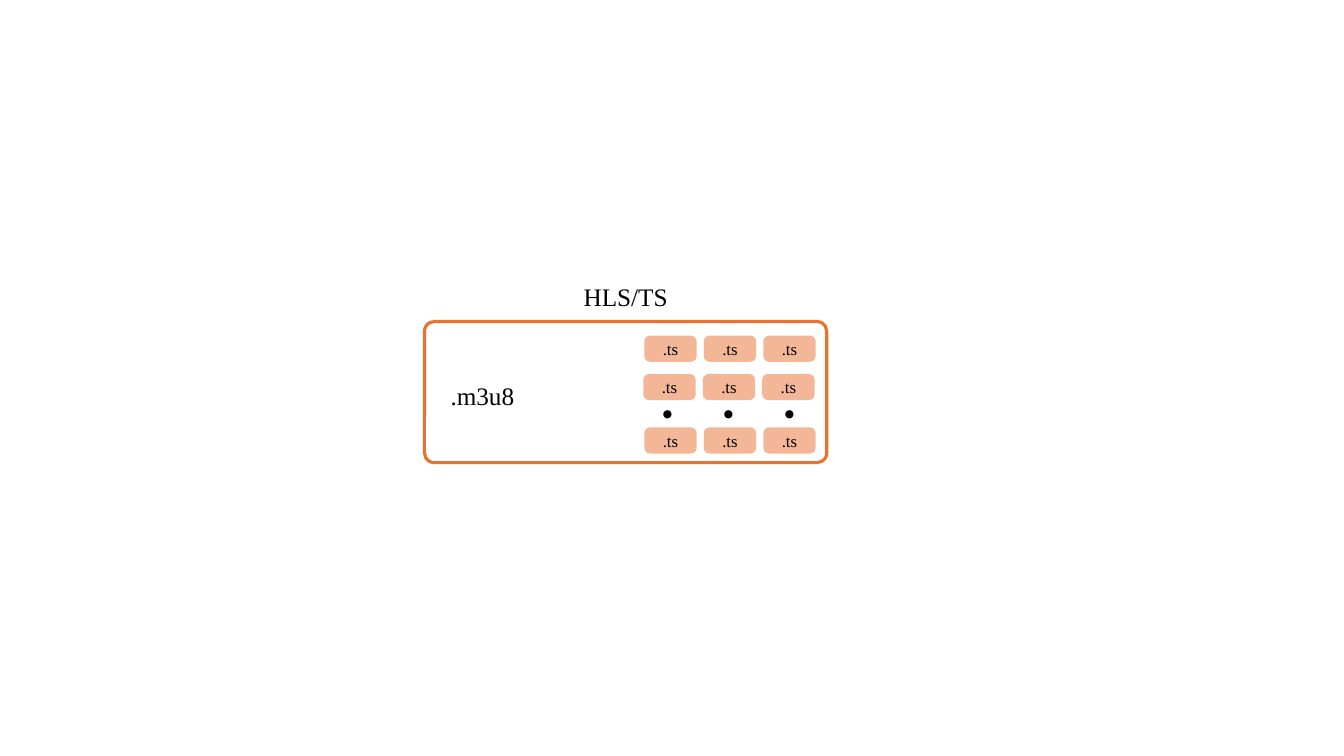
from pptx import Presentation
from pptx.dml.color import RGBColor
from pptx.enum.shapes import MSO_SHAPE as Shape
from pptx.enum.text import MSO_ANCHOR as Anchor, MSO_AUTO_SIZE as AutoSize, PP_ALIGN as Align
from pptx.oxml.ns import qn
from pptx.util import Inches, Pt
from lxml import etree

ORANGE = RGBColor(0xE9, 0x71, 0x32)
WHITE = RGBColor(0xFF, 0xFF, 0xFF)
BLACK = RGBColor(0, 0, 0)


def write(box, text, size, align):
    para = box.text_frame.paragraphs[0]
    para.text = text
    para.alignment = align
    para.font.name = "Times New Roman"
    para.font.size = Pt(size)
    para.font.color.rgb = BLACK
    return para


def add_rounded(left, top, width, height, radius, color):
    box = page.shapes.add_shape(
        Shape.ROUNDED_RECTANGLE, Inches(left), Inches(top), Inches(width), Inches(height))
    box.adjustments[0] = radius
    box.shadow.inherit = False
    box.fill.solid()
    box.fill.fore_color.rgb = color
    return box


deck = Presentation()
deck.slide_width, deck.slide_height = Inches(13.33), Inches(7.5)
page = deck.slides.add_slide(deck.slide_layouts[6])

container = add_rounded(4.21, 3.19, 3.99, 1.4, 0.07, WHITE)
container.line.color.rgb = ORANGE
container.line.width = Pt(2.25)

for text, left, top, width in [("HLS/TS", 5.69, 2.74, 1.04), (".m3u8", 4.37, 3.72, 0.86)]:
    label = page.shapes.add_textbox(Inches(left), Inches(top), Inches(width), Inches(0.4))
    label.text_frame.word_wrap = False
    label.text_frame.auto_size = AutoSize.SHAPE_TO_FIT_TEXT
    write(label, text, 18, Align.LEFT)

for left, top in [(6.39, 3.33), (6.38, 3.71), (6.39, 4.24)]:
    for column in range(3):
        segment = add_rounded(left + 0.59 * column, top, 0.52, 0.26, 0.22, ORANGE)
        segment.line.fill.background()
        fill_color = segment.fill._xPr.find(qn("a:solidFill"))[0]
        etree.SubElement(fill_color, qn("a:alpha"), val="50000")
        segment.text_frame.vertical_anchor = Anchor.MIDDLE
        write(segment, ".ts", 12, Align.CENTER)

dots = page.shapes.add_textbox(Inches(7.2), Inches(3.16), Inches(0.39), Inches(1.91))
dots.rotation = 90
dots.text_frame.word_wrap = True
dots_para = write(dots, ". . .", 36, Align.CENTER)
dots_para.font.bold = True
dots_para.line_spacing = Pt(43.5)

deck.save("out.pptx")
